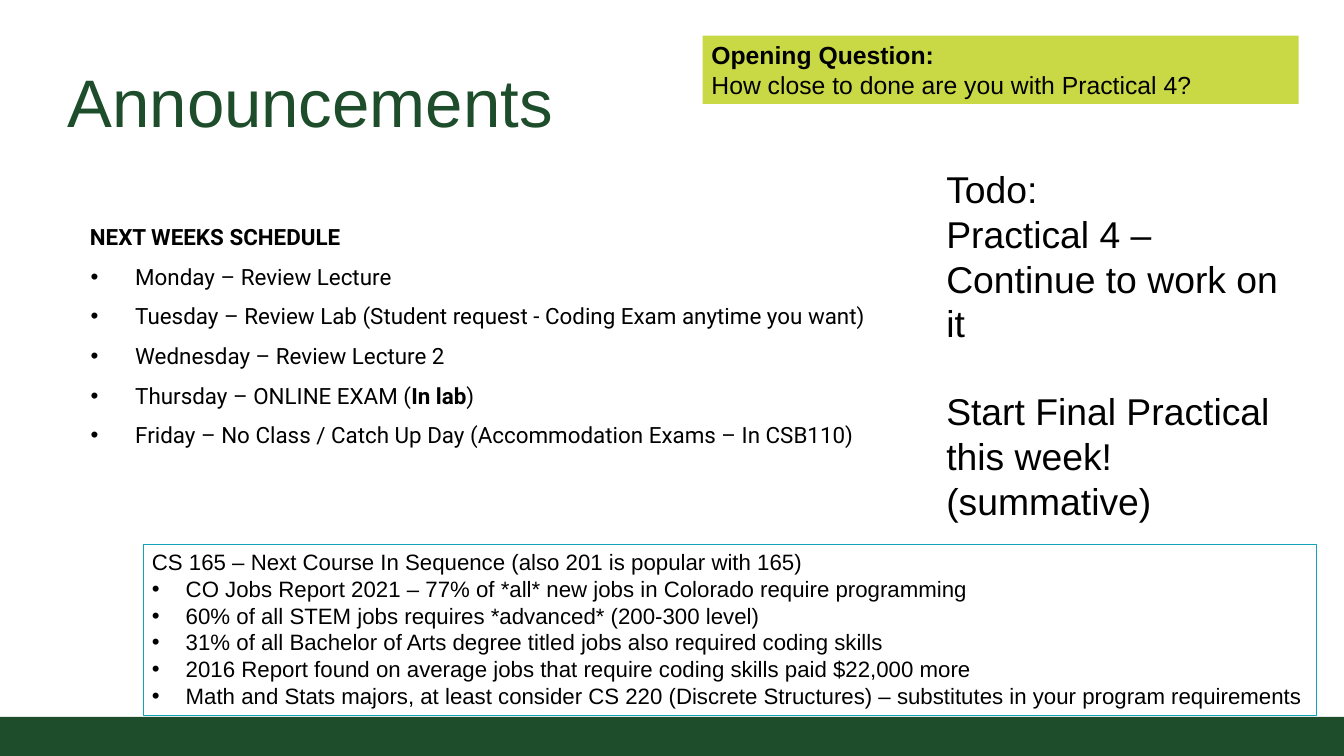
"""Build the Announcements slide with schedule, to-do list and course notes."""
from dataclasses import dataclass
from lxml.etree import SubElement
from pptx import Presentation
from pptx.dml.color import RGBColor
from pptx.enum.shapes import MSO_SHAPE
from pptx.enum.text import MSO_ANCHOR, MSO_AUTO_SIZE, PP_ALIGN
from pptx.oxml.ns import qn
from pptx.util import Inches, Pt


@dataclass(frozen=True)
class Theme:
    """Colours, fonts and type sizes of the slide."""
    green: str = "1E4D2B"
    lime: str = "C9D845"
    teal: str = "12A3B6"
    black: str = "000000"
    sans: str = "Arial"
    body: str = "Roboto"
    title_pt: float = 54.4
    todo_pt: float = 30.2
    question_pt: float = 20
    schedule_pt: float = 18.1
    jobs_pt: float = 18


SCHEDULE = [
    [("Monday – Review Lecture", False)],
    [("Tuesday – Review Lab (Student request - Coding Exam anytime you want)", False)],
    [("Wednesday – Review Lecture 2", False)],
    [("Thursday – ONLINE EXAM (", False), ("In lab", True), (")", False)],
    [("Friday – No Class / Catch Up Day (Accommodation Exams – In CSB110)", False)],
]
JOBS = [
    "CO Jobs Report 2021 – 77% of *all* new jobs in Colorado require programming",
    "60% of all STEM jobs requires *advanced* (200-300 level)",
    "31% of all Bachelor of Arts degree titled jobs also required coding skills",
    "2016 Report found on average jobs that require coding skills paid $22,000 more",
    "Math and Stats majors, at least consider CS 220 (Discrete Structures) – "
    "substitutes in your program requirements",
]


class Deck:
    """Holds the theme and the current slide, and draws each kind of element."""

    def __init__(self, prs, theme):
        """Add a title and content slide."""
        self.theme = theme
        self.slide = prs.slides.add_slide(prs.slide_layouts[1])

    def frame(self, sp, inset=None, anchor=MSO_ANCHOR.TOP):
        """Prepare the text frame of a shape."""
        tf = sp.text_frame
        fmt = {"word_wrap": True, "auto_size": MSO_AUTO_SIZE.NONE, "vertical_anchor": anchor}
        if inset is not None:
            sides = ("left", "top", "right", "bottom")
            fmt.update({f"margin_{side}": Inches(inset) for side in sides})
        for name, value in fmt.items():
            setattr(tf, name, value)
        return tf

    def paragraph(self, tf, runs, size, font=None, color=None, bullet=False,
                  indent=(0, 0), before=0, spacing=1.0):
        """Write one paragraph made of (text, bold) runs."""
        first = not tf.paragraphs[0].runs
        p = tf.paragraphs[0] if first else tf.add_paragraph()
        fmt = {"alignment": PP_ALIGN.LEFT, "line_spacing": spacing,
               "space_before": Pt(0 if first else before), "space_after": Pt(0)}
        for name, value in fmt.items():
            setattr(p, name, value)
        pPr = p._p.get_or_add_pPr()
        pPr.set("marL", str(Inches(indent[0])))
        pPr.set("indent", str(Inches(indent[1])))
        if bullet:
            SubElement(pPr, qn("a:buFont"), typeface=self.theme.sans)
            SubElement(pPr, qn("a:buChar"), char="•")
        else:
            SubElement(pPr, qn("a:buNone"))
        for text, bold in runs:
            r = p.add_run()
            r.text = text
            fmt = {"name": font or self.theme.sans, "size": Pt(size), "bold": bold}
            for name, value in fmt.items():
                setattr(r.font, name, value)
            r.font.color.rgb = RGBColor.from_string(color or self.theme.black)

    def placeholder(self, idx, box, anchor=MSO_ANCHOR.TOP):
        """Move a template placeholder and return its text frame."""
        sp = self.slide.placeholders[idx]
        for name, value in zip(("left", "top", "width", "height"), box):
            setattr(sp, name, Inches(value))
        return self.frame(sp, 0.07, anchor)

    def textbox(self, box):
        """Add a text box and return its text frame."""
        return self.frame(self.slide.shapes.add_textbox(*map(Inches, box)))

    def panel(self, box, fill=None, line=None):
        """Add a rectangle and return its text frame."""
        sp = self.slide.shapes.add_shape(MSO_SHAPE.RECTANGLE, *map(Inches, box))
        sp.shadow.inherit = False
        if fill:
            sp.fill.solid()
            sp.fill.fore_color.rgb = RGBColor.from_string(fill)
        else:
            sp.fill.background()
        if line:
            sp.line.color.rgb = RGBColor.from_string(line)
            sp.line.width = Pt(0.75)
        else:
            sp.line.fill.background()
        return self.frame(sp)


def main():
    """Build and save the slide."""
    prs = Presentation()
    prs.slide_width, prs.slide_height = Inches(15.11), Inches(8.5)
    theme = Theme()
    deck = Deck(prs, theme)

    deck.panel((0, 8.06, 15.11, 0.44), fill=theme.green)

    tf = deck.placeholder(0, (0.69, 0.66, 6.17, 1), MSO_ANCHOR.BOTTOM)
    deck.paragraph(tf, [("Announcements", False)], theme.title_pt, color=theme.green)

    tf = deck.placeholder(1, (0.69, 2.38, 9.52, 3.06))
    style = {"size": theme.schedule_pt, "font": theme.body, "before": 6, "spacing": 1.2}
    deck.paragraph(tf, [("NEXT WEEKS SCHEDULE", True)], indent=(0.25, 0), **style)
    for runs in SCHEDULE:
        deck.paragraph(tf, runs, bullet=True, indent=(0.76, -0.5), **style)

    tf = deck.textbox((10.54, 1.82, 4.2, 3.66))
    for text, before in (("Todo:", 0), ("Practical 4 – Continue to work on it", 0),
                         ("Start Final Practical this week! (summative)", 35)):
        deck.paragraph(tf, [(text, False)], theme.todo_pt, before=before)

    tf = deck.panel((7.9, 0.4, 6.7, 0.77), fill=theme.lime)
    deck.paragraph(tf, [("Opening Question:", True)], theme.question_pt)
    deck.paragraph(tf, [("How close to done are you with Practical 4?", False)],
                   theme.question_pt)

    tf = deck.panel((1.61, 6.12, 13.19, 1.92), line=theme.teal)
    heading = "CS 165 – Next Course In Sequence (also 201 is popular with 165)"
    deck.paragraph(tf, [(heading, False)], theme.jobs_pt)
    for text in JOBS:
        deck.paragraph(tf, [(text, False)], theme.jobs_pt, bullet=True, indent=(0.38, -0.38))

    prs.save("out.pptx")


if __name__ == "__main__":
    main()
